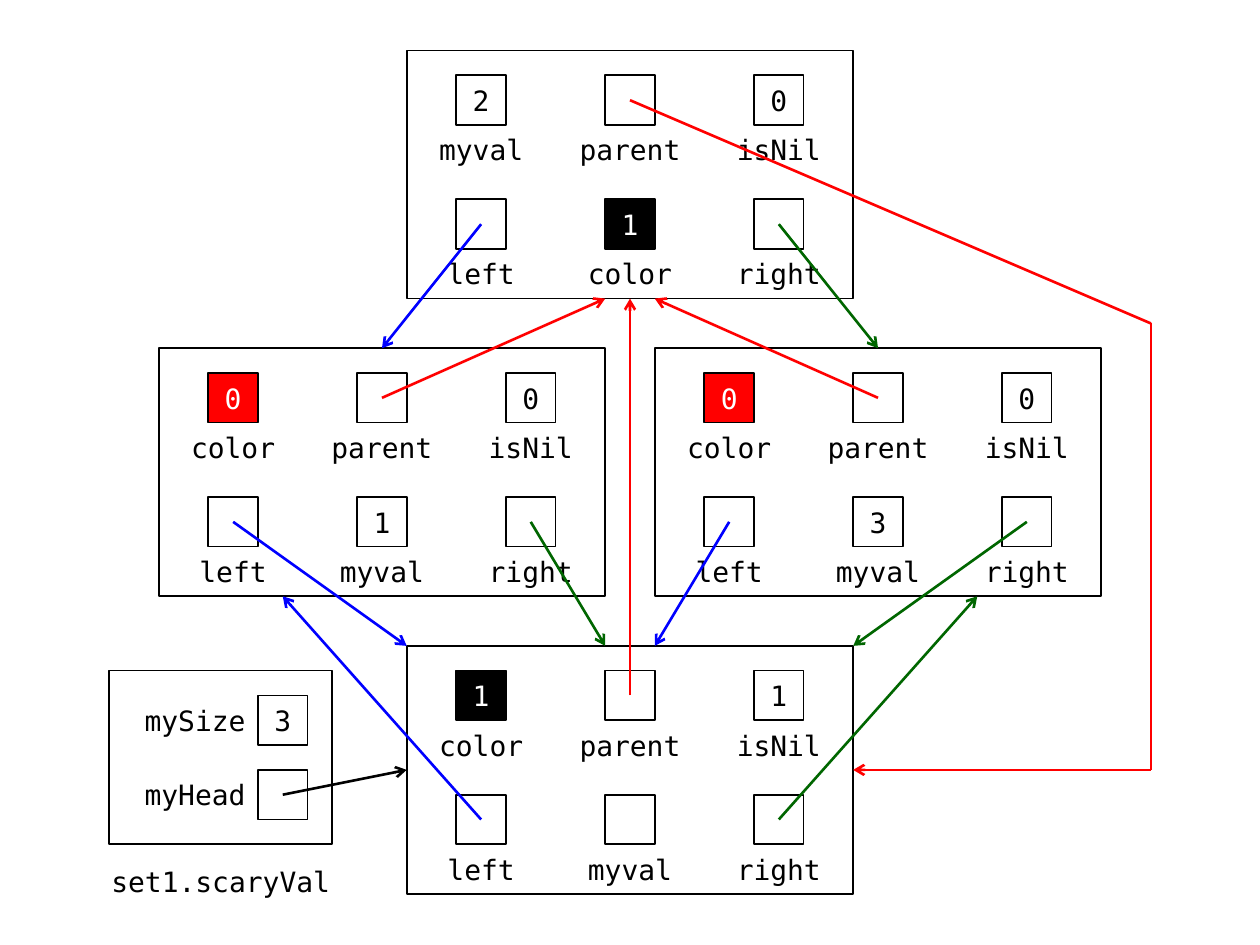
from lxml import etree
from pptx import Presentation
from pptx.dml.color import RGBColor
from pptx.enum.shapes import MSO_CONNECTOR, MSO_SHAPE
from pptx.enum.text import MSO_ANCHOR, PP_ALIGN
from pptx.oxml.ns import qn
from pptx.util import Cm, Pt

BLACK = RGBColor(0x00, 0x00, 0x00)
WHITE = RGBColor(0xFF, 0xFF, 0xFF)
RED = RGBColor(0xFF, 0x00, 0x00)
BLUE = RGBColor(0x00, 0x00, 0xFF)
GREEN = RGBColor(0x00, 0x66, 0x00)
FONT = "DejaVu Sans Mono"

# All positions are centimetres on a grid that starts at this corner
ORIGIN_X, ORIGIN_Y = 0.2, 1.02
NODE_WIDTH, NODE_HEIGHT = 9, 5
COLUMN_STEP, ROW_STEP = 3, 2.5

# Top left corner of each tree node
ROOT, LEFT_CHILD, RIGHT_CHILD, HEAD = (8, 0), (3, 6), (13, 6), (8, 12)

# Fields of each node, row by row: label, value, cell fill
CHILD_TOP_ROW = [("color", "0", RED), ("parent", "", WHITE), ("isNil", "0", WHITE)]
NODES = {
    HEAD: [
        [("color", "1", BLACK), ("parent", "", WHITE), ("isNil", "1", WHITE)],
        [("left", "", WHITE), ("myval", "", WHITE), ("right", "", WHITE)],
    ],
    LEFT_CHILD: [
        CHILD_TOP_ROW,
        [("left", "", WHITE), ("myval", "1", WHITE), ("right", "", WHITE)],
    ],
    RIGHT_CHILD: [
        CHILD_TOP_ROW,
        [("left", "", WHITE), ("myval", "3", WHITE), ("right", "", WHITE)],
    ],
    ROOT: [
        [("myval", "2", WHITE), ("parent", "", WHITE), ("isNil", "0", WHITE)],
        [("left", "", WHITE), ("color", "1", BLACK), ("right", "", WHITE)],
    ],
}

# Pointers: node, column, row, target point, colour
POINTERS = [
    (HEAD, 0, 1, (5.5, 11), BLUE),
    (HEAD, 1, 0, (12.5, 5), RED),
    (HEAD, 2, 1, (19.5, 11), GREEN),
    (LEFT_CHILD, 1, 0, (12, 5), RED),
    (RIGHT_CHILD, 1, 0, (13, 5), RED),
    (ROOT, 0, 1, (7.5, 6), BLUE),
    (ROOT, 2, 1, (17.5, 6), GREEN),
    (LEFT_CHILD, 0, 1, (8, 12), BLUE),
    (LEFT_CHILD, 2, 1, (12, 12), GREEN),
    (RIGHT_CHILD, 0, 1, (13, 12), BLUE),
    (RIGHT_CHILD, 2, 1, (17, 12), GREEN),
]


def at(x, y):
    return Cm(ORIGIN_X + x), Cm(ORIGIN_Y + y)


def cell_centre(node, column, row):
    return node[0] + 1.5 + column * COLUMN_STEP, node[1] + 1 + row * ROW_STEP


def write(shape, text, color=BLACK, align=PP_ALIGN.CENTER, side=0.25):
    frame = shape.text_frame
    frame.word_wrap = True
    frame.vertical_anchor = MSO_ANCHOR.MIDDLE
    frame.margin_left = frame.margin_right = Cm(side)
    frame.margin_top = frame.margin_bottom = 0
    paragraph = frame.paragraphs[0]
    paragraph.alignment = align
    run = paragraph.add_run()
    run.text = text
    run.font.name = FONT
    run.font.size = Pt(16)
    run.font.color.rgb = color


def add_box(slide, x, y, width, height, fill=WHITE):
    box = slide.shapes.add_shape(MSO_SHAPE.RECTANGLE, *at(x, y), Cm(width), Cm(height))
    box.shadow.inherit = False
    box.fill.solid()
    box.fill.fore_color.rgb = fill
    box.line.color.rgb = BLACK
    box.line.width = Pt(1)
    return box


def add_cell(slide, x, y, value="", fill=WHITE):
    cell = add_box(slide, x, y, 1, 1, fill)
    if value:
        write(cell, value, color=BLACK if fill == WHITE else WHITE, side=0.1)


def add_label(slide, text, x, y, width=3, height=1, **text_format):
    label = slide.shapes.add_textbox(*at(x, y), Cm(width), Cm(height))
    write(label, text, **text_format)


def add_line(slide, start, end, color, arrow=True):
    line = slide.shapes.add_connector(MSO_CONNECTOR.STRAIGHT, *at(*start), *at(*end))
    line.line.color.rgb = color
    line.line.width = Pt(1.5)
    if arrow:
        etree.SubElement(line.line._get_or_add_ln(), qn("a:tailEnd"), type="arrow")
    etree.SubElement(line._element.spPr, qn("a:effectLst"))


def add_node(slide, node, rows):
    add_box(slide, *node, NODE_WIDTH, NODE_HEIGHT)
    for row, fields in enumerate(rows):
        for column, (name, value, fill) in enumerate(fields):
            x, y = cell_centre(node, column, row)
            add_cell(slide, x - 0.5, y - 0.5, value, fill)
            add_label(slide, name, x - 1.5, y + 0.5)


def add_set_header(slide):
    add_box(slide, 2, 12.5, 4.5, 3.5)
    for name, value, y in [("mySize", "3", 13), ("myHead", "", 14.5)]:
        add_cell(slide, 5, y, value)
        add_label(slide, name, 2, y, align=PP_ALIGN.RIGHT)
    add_label(slide, "set1.scaryVal", 1.5, 16, width=5.5, height=1.5)


def main():
    deck = Presentation()
    deck.slide_width, deck.slide_height = Cm(25.4), Cm(19.05)
    slide = deck.slides.add_slide(deck.slide_layouts[6])

    # Tree nodes and the set object
    for node, rows in NODES.items():
        add_node(slide, node, rows)
    add_set_header(slide)

    # Pointers between them
    add_line(slide, (5.5, 15), (8, 14.5), BLACK)
    for node, column, row, target, color in POINTERS:
        add_line(slide, cell_centre(node, column, row), target, color)

    # Parent of the root, led round the right side to the head node
    route = [cell_centre(ROOT, 1, 0), (23, 5.5), (23, 14.5), (17, 14.5)]
    for start, end in zip(route, route[1:]):
        add_line(slide, start, end, RED, arrow=end == route[-1])

    deck.save("out.pptx")


if __name__ == "__main__":
    main()
